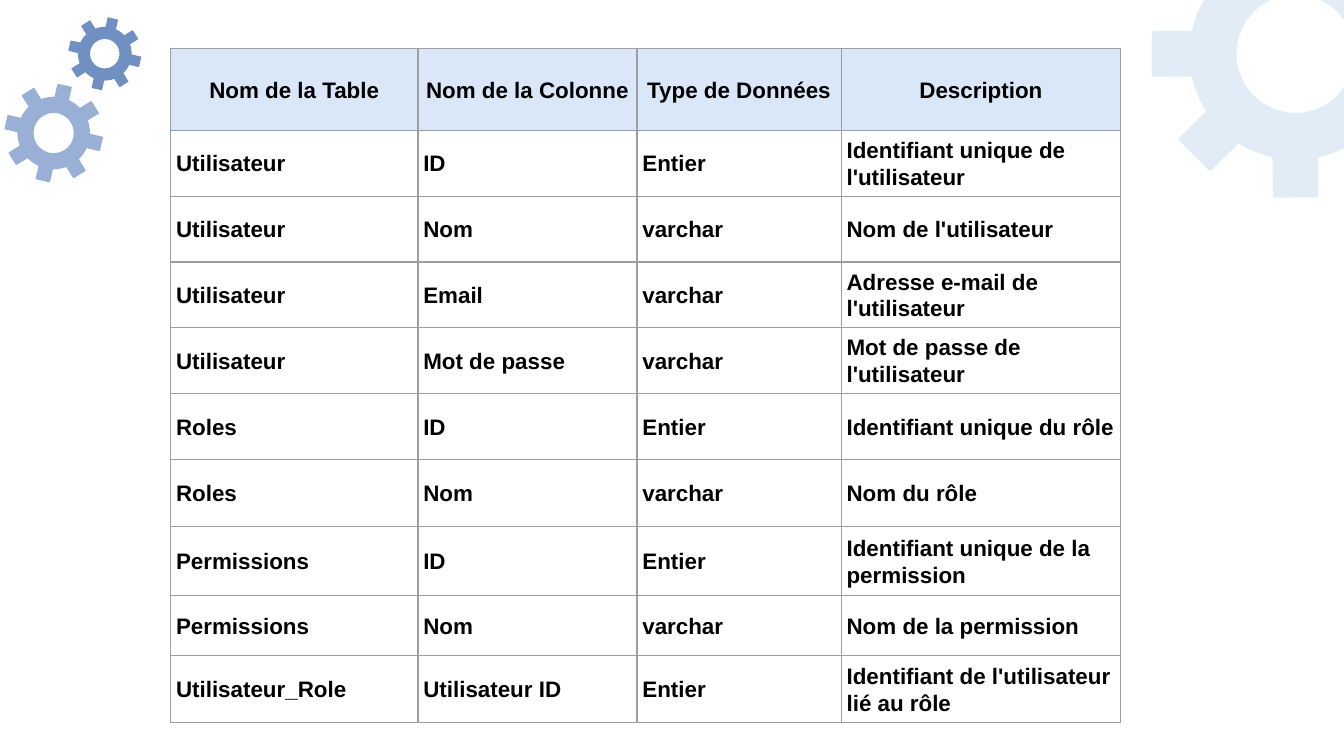
from dataclasses import dataclass
from math import cos, radians, sin
from typing import NamedTuple

from lxml import etree
from pptx import Presentation
from pptx.dml.color import RGBColor
from pptx.enum import shapes, text
from pptx.oxml.ns import qn
from pptx.util import Inches, Pt


@dataclass(frozen=True)
class Theme:
    font: str = "Arial"
    size: float = 12
    ink: str = "000000"
    header: str = "DAE7F9"
    border: str = "9E9E9E"
    pale: str = "E2ECF7"
    mid: str = "99AFD6"
    deep: str = "6F90C1"


THEME = Theme()


class Gear(NamedTuple):
    """Centre and radii in inches; tooth angles clockwise from the right."""
    x: float
    y: float
    outer: float
    inner: float
    tooth: float
    reach: float
    angles: tuple
    color: str


EIGHT_TEETH = tuple(13 + 45 * i for i in range(8))
GEARS = [
    Gear(9.64, 0.4, 0.79, 0.44, 0.34, 0.9, (90, 135, 180), THEME.pale),
    Gear(0.4, 0.99, 0.27, 0.15, 0.11, 0.31, EIGHT_TEETH, THEME.mid),
    Gear(0.78, 0.4, 0.2, 0.11, 0.08, 0.23, EIGHT_TEETH, THEME.deep),
]

COLUMNS = [1.84, 1.63, 1.52, 2.08]
HEIGHTS = [0.61, 0.49, 0.49, 0.49, 0.49, 0.49, 0.5, 0.51, 0.45, 0.5]
ROWS = [
    ("Nom de la Table", "Nom de la Colonne", "Type de Données", "Description"),
    ("Utilisateur", "ID", "Entier", "Identifiant unique de l'utilisateur"),
    ("Utilisateur", "Nom", "varchar", "Nom de l'utilisateur"),
    ("Utilisateur", "Email", "varchar", "Adresse e-mail de l'utilisateur"),
    ("Utilisateur", "Mot de passe", "varchar", "Mot de passe de l'utilisateur"),
    ("Roles", "ID", "Entier", "Identifiant unique du rôle"),
    ("Roles", "Nom", "varchar", "Nom du rôle"),
    ("Permissions", "ID", "Entier", "Identifiant unique de la permission"),
    ("Permissions", "Nom", "varchar", "Nom de la permission"),
    ("Utilisateur_Role", "Utilisateur ID", "Entier",
     "Identifiant de l'utilisateur lié au rôle"),
]


def add_centred(s, kind, x: float, y: float, side: float, color: str, adjust: float):
    sp = s.shapes.add_shape(kind, Inches(x - side / 2), Inches(y - side / 2),
                            Inches(side), Inches(side))
    sp.shadow.inherit = False
    sp.fill.solid()
    sp.fill.fore_color.rgb = RGBColor.from_string(color)
    sp.line.fill.background()
    sp.adjustments[0] = adjust
    return sp


def draw_gear(s, gear: Gear) -> None:
    # Ring, then teeth spread around it
    thickness = (gear.outer - gear.inner) / (2 * gear.outer)
    add_centred(s, shapes.MSO_SHAPE.DONUT, gear.x, gear.y, 2 * gear.outer,
                gear.color, thickness)
    for angle in gear.angles:
        x = gear.x + gear.reach * cos(radians(angle))
        y = gear.y + gear.reach * sin(radians(angle))
        tooth = add_centred(s, shapes.MSO_SHAPE.ROUNDED_RECTANGLE, x, y,
                            gear.tooth, gear.color, 0.05)
        tooth.rotation = angle


def set_borders(cell) -> None:
    tc_pr = cell._tc.get_or_add_tcPr()
    for side in ("lnL", "lnR", "lnT", "lnB"):
        ln = etree.SubElement(tc_pr, qn(f"a:{side}"), w=str(Pt(0.75)))
        fill = etree.SubElement(ln, qn("a:solidFill"))
        etree.SubElement(fill, qn("a:srgbClr"), val=THEME.border)


def fill_cell(cell, label: str, is_header: bool) -> None:
    cell.margin_left = cell.margin_right = Inches(0.04)
    cell.margin_top = cell.margin_bottom = 0
    cell.vertical_anchor = text.MSO_ANCHOR.MIDDLE
    set_borders(cell)
    if is_header:
        cell.fill.solid()
        cell.fill.fore_color.rgb = RGBColor.from_string(THEME.header)
    else:
        cell.fill.background()
    cell.text = label
    p = cell.text_frame.paragraphs[0]
    p.alignment = text.PP_ALIGN.CENTER if is_header else text.PP_ALIGN.LEFT
    p.line_spacing = 1.07
    p.space_after = Pt(8)
    p.font.name = THEME.font
    p.font.size = Pt(THEME.size)
    p.font.bold = True
    p.font.color.rgb = RGBColor.from_string(THEME.ink)


def draw_table(s) -> None:
    table = s.shapes.add_table(len(ROWS), len(COLUMNS), Inches(1.27), Inches(0.36),
                               Inches(sum(COLUMNS)), Inches(sum(HEIGHTS))).table
    table.horz_banding = False
    for column, width in zip(table.columns, COLUMNS):
        column.width = Inches(width)
    for row, height in zip(table.rows, HEIGHTS):
        row.height = Inches(height)
    for i, labels in enumerate(ROWS):
        for j, label in enumerate(labels):
            fill_cell(table.cell(i, j), label, is_header=i == 0)


def main() -> None:
    # Widescreen page, 16:9
    prs = Presentation()
    prs.slide_width = Inches(10)
    prs.slide_height = Inches(10) * 9 // 16
    s = prs.slides.add_slide(prs.slide_layouts[6])

    # Corner gears
    for gear in GEARS:
        draw_gear(s, gear)

    # Data dictionary
    draw_table(s)
    prs.save("out.pptx")


if __name__ == "__main__":
    main()
